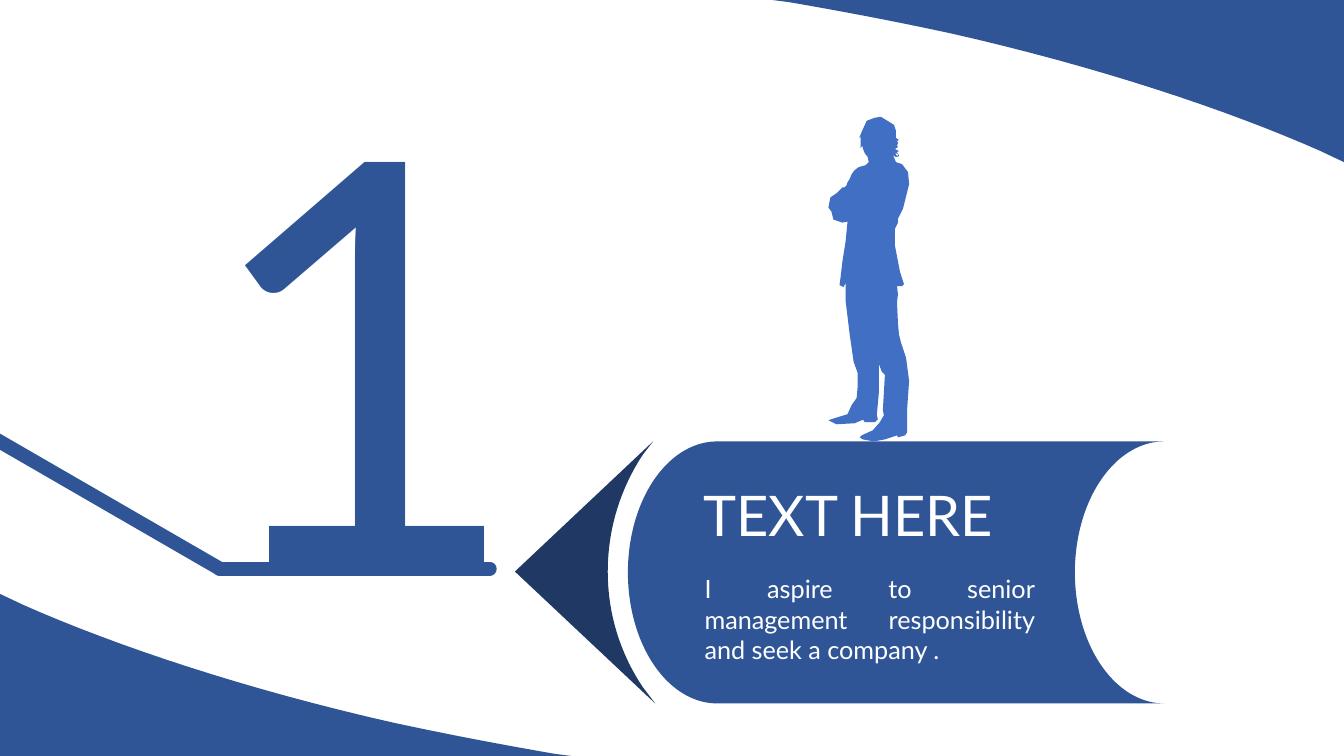
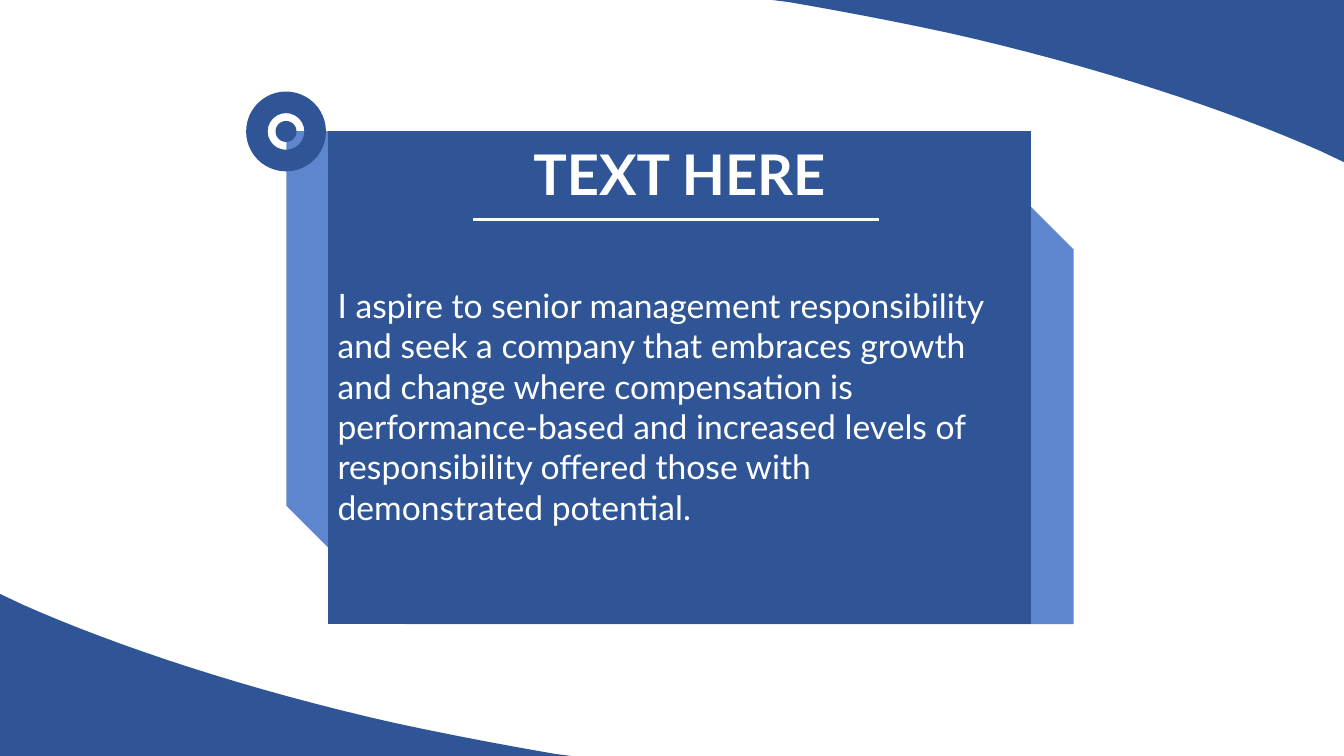
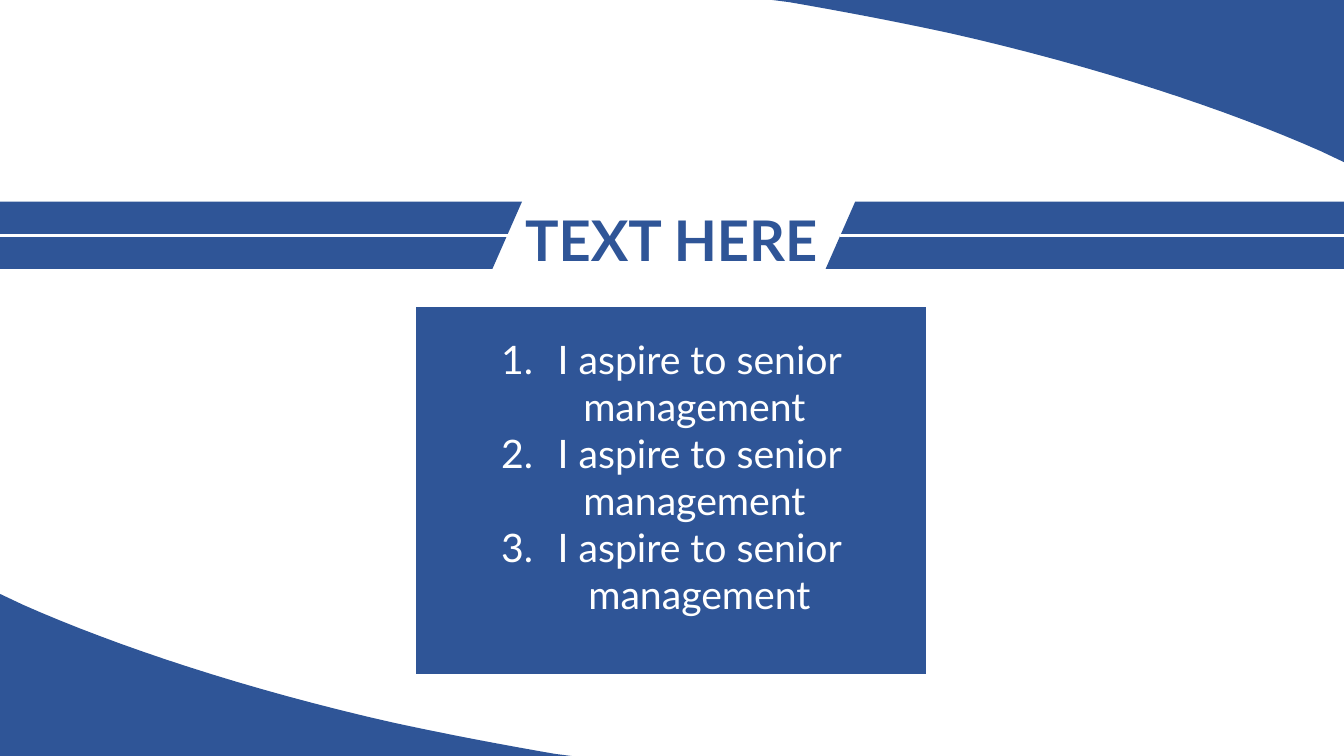
"""Build three blue slides on a grid of 32 columns and 18 rows."""
from lxml.etree import SubElement
from pptx import Presentation
from pptx.dml.color import RGBColor
from pptx.enum.shapes import MSO_CONNECTOR, MSO_SHAPE
from pptx.enum.text import MSO_ANCHOR, PP_ALIGN
from pptx.oxml.ns import qn
from pptx.util import Inches, Pt

BLUE = RGBColor(0x2F, 0x55, 0x97)
NAVY = RGBColor(0x20, 0x38, 0x64)
SKY = RGBColor(0x5E, 0x86, 0xCE)
FIGURE_BLUE = RGBColor(0x40, 0x6F, 0xC4)
WHITE = RGBColor(0xFF, 0xFF, 0xFF)

COLUMNS, ROWS = 32, 18
CELL = Inches(7.5) / ROWS
FONT = "Lato"
PLAIN_TABLE = "{2D5ABB26-0587-4C30-8999-92F81FD0307C}"
TITLE = {"size": Pt(40), "bold": True}

FIGURE_UNITS = 322
FIGURE = [
    (66, 8), (53, 0), (47, 1), (39, 4), (34, 15), (32, 20), (31, 21), (33, 20),
    (33, 30), (32, 31), (35, 29), (35, 31), (37, 36), (40, 40), (41, 45), (38, 48),
    (31, 50), (27, 53), (24, 57), (22, 62), (20, 65), (19, 68), (17, 70), (15, 70),
    (12, 73), (9, 76), (3, 80), (1, 90), (4, 94), (6, 102), (15, 105), (20, 104),
    (18, 124), (15, 143), (13, 160), (12, 167), (16, 169), (18, 165), (18, 182),
    (22, 215), (26, 243), (30, 254), (30, 268), (29, 279), (24, 286), (20, 295),
    (7, 299), (1, 301), (9, 305), (27, 304), (34, 301), (36, 301), (37, 303),
    (47, 303), (50, 300), (49, 296), (51, 274), (51, 245), (54, 253), (57, 256),
    (56, 274), (55, 291), (56, 296), (52, 303), (45, 311), (34, 316), (32, 318),
    (35, 320), (46, 322), (57, 320), (69, 316), (70, 318), (77, 316), (79, 313),
    (79, 291), (81, 262), (78, 239), (73, 224), (71, 216), (70, 205), (69, 184),
    (70, 176), (69, 168), (74, 168), (76, 166), (72, 154), (67, 128), (67, 111),
    (70, 105), (70, 101), (75, 91), (81, 67), (80, 55), (74, 47), (68, 45),
    (65, 38), (68, 40), (71, 39), (71, 37), (69, 39), (67, 36), (70, 37), (69, 35),
    (71, 34), (67, 32), (70, 30), (69, 29), (70, 26), (69, 24), (71, 23), (68, 21),
    (68, 14),
]


def curve(*controls, steps=16):
    """Return points along a cubic curve."""
    points = []
    for step in range(steps + 1):
        t = step / steps
        weights = ((1 - t) ** 3, 3 * t * (1 - t) ** 2, 3 * t * t * (1 - t), t ** 3)
        points.append(tuple(sum(w * c[axis] for w, c in zip(weights, controls))
                            for axis in (0, 1)))
    return points


SWOOSH = [
    (0, 14.14),
    *curve((0.55, 14.4), (2.76, 15.38), (5.88, 16.42), (9.38, 17.21)),
    *curve((9.38, 17.21), (10.73, 17.5), (12, 17.74), (13.22, 17.95)),
    (13.61, 18), (0, 18),
]
FISH_TAIL = [
    (15.55, 10.51),
    *curve((15.31, 10.82), (14.78, 11.62), (14.47, 12.58), (14.47, 13.61)),
    *curve((14.47, 13.61), (14.47, 14.64), (14.78, 15.58), (15.31, 16.37)),
    (15.6, 16.75), (12.26, 13.61),
]


def cells(*lengths):
    """Turn grid cells into slide lengths."""
    return [round(length * CELL) for length in lengths]


class Painter:
    """Hold the style and the current slide."""

    def __init__(self):
        """Open an empty deck."""
        self.deck = Presentation()
        self.deck.slide_width, self.deck.slide_height = cells(COLUMNS, ROWS)
        self.page = None

    def new_page(self):
        """Start a slide with its two corner swooshes."""
        self.page = self.deck.slides.add_slide(self.deck.slide_layouts[6])
        self.outline(SWOOSH, BLUE)
        self.outline([(COLUMNS - x, ROWS - y) for x, y in SWOOSH], BLUE)

    def paint(self, shape, colour):
        """Give a shape a flat fill."""
        shape.shadow.inherit = False
        shape.fill.solid()
        shape.fill.fore_color.rgb = colour
        shape.line.fill.background()

    def outline(self, points, colour, left=0, top=0, scale=1):
        """Draw a closed outline."""
        placed = [cells(left + x * scale, top + y * scale) for x, y in points]
        builder = self.page.shapes.build_freeform(*placed[0])
        builder.add_line_segments(placed[1:], close=True)
        self.paint(builder.convert_to_shape(), colour)

    def shape(self, kind, place, colour, adjustments=()):
        """Draw a preset shape."""
        shape = self.page.shapes.add_shape(kind, *cells(*place))
        for index, value in enumerate(adjustments):
            shape.adjustments[index] = value
        self.paint(shape, colour)

    def line(self, ends, colour, width, cap="flat"):
        """Draw a straight line."""
        line = self.page.shapes.add_connector(MSO_CONNECTOR.STRAIGHT, *cells(*ends))
        line.line.color.rgb = colour
        line.line.width = Pt(width)
        line.line._get_or_add_ln().set("cap", cap)
        SubElement(line._element.spPr, qn("a:effectLst"))

    def set_text(self, frame, texts, colour, style, align=PP_ALIGN.LEFT, numbered=False):
        """Fill a text frame with paragraphs."""
        for index, text in enumerate(texts):
            para = frame.add_paragraph() if index else frame.paragraphs[0]
            para.alignment = align
            if numbered:
                properties = para._p.get_or_add_pPr()
                properties.set("marL", str(Inches(0.56)))
                properties.set("indent", str(-Inches(0.56)))
                SubElement(properties, qn("a:buFont"), typeface="+mj-lt")
                SubElement(properties, qn("a:buAutoNum"), type="arabicPeriod")
            span = para.add_run()
            span.text = text
            for name, value in {"name": FONT, **style}.items():
                setattr(span.font, name, value)
            span.font.color.rgb = colour

    def text(self, place, text, colour, size, align=PP_ALIGN.LEFT):
        """Add a text box."""
        box = self.page.shapes.add_textbox(*cells(*place))
        box.text_frame.word_wrap = True
        self.set_text(box.text_frame, [text], colour, {"size": Pt(size)}, align)

    def table(self, place, heights):
        """Add a plain table of one column and return its cells."""
        table = self.page.shapes.add_table(len(heights), 1, *cells(*place)).table
        table._tbl.tblPr.find(qn("a:tableStyleId")).text = PLAIN_TABLE
        table.first_row = table.horz_banding = False
        for row, height in zip(table.rows, cells(*heights)):
            row.height = height
        return list(table.iter_cells())

    def cell(self, cell, texts, colour, style, fill=None, anchor=MSO_ANCHOR.MIDDLE,
             bottom=0.05, **layout):
        """Fill a table cell."""
        cell.vertical_anchor = anchor
        cell.margin_bottom = Inches(bottom)
        if fill is None:
            cell.fill.background()
        else:
            cell.fill.solid()
            cell.fill.fore_color.rgb = fill
        self.set_text(cell.text_frame, texts, colour, style, **layout)


def number_page(painter):
    """Draw the big number, the fish and the standing figure."""
    painter.new_page()
    for start in ((-0.17, 10.42), (11.66, 13.54)):
        painter.line((*start, 5.23, 13.54), BLUE, 10, "rnd")
    painter.text((4.51, 0, 9.05, 16.39), "1", BLUE, 400)
    painter.outline(FISH_TAIL, NAVY)
    painter.shape(MSO_SHAPE.FLOWCHART_STORED_DATA, (14.95, 10.51, 12.77, 6.24), BLUE)
    painter.text((15.53, 11.33, 9.34, 1.7), "TEXT HERE", WHITE, 40, PP_ALIGN.CENTER)
    painter.text((16.54, 13.54, 8.33, 2.74),
                 "I aspire to senior management responsibility and seek a company .",
                 WHITE, 18, PP_ALIGN.JUSTIFY)
    painter.outline(FIGURE, FIGURE_BLUE, 19.7, 2.78, 7.73 / FIGURE_UNITS)


def panel_page(painter):
    """Draw the pinned panel."""
    painter.new_page()
    painter.shape(MSO_SHAPE.SNIP_2_DIAG_RECTANGLE, (6.82, 3.12, 18.74, 11.74), SKY,
                  (0, 0.24))
    title, body = painter.table((7.8, 3.12, 16.75, 11.74), (2.04, 9.7))
    painter.cell(title, ["TEXT HERE"], WHITE, TITLE, BLUE, align=PP_ALIGN.CENTER)
    painter.cell(body, [
        "I aspire to senior management responsibility and seek a company that "
        "embraces growth and change where compensation is performance-based and "
        "increased levels of responsibility offered those with demonstrated "
        "potential."], WHITE, {"size": Pt(24), "bold": False}, BLUE, bottom=0.33)
    painter.shape(MSO_SHAPE.DONUT, (5.86, 2.18, 1.9, 1.9), BLUE, (0.27,))
    painter.line((11.26, 5.23, 20.93, 5.23), WHITE, 2)
    painter.shape(MSO_SHAPE.OVAL, (6.56, 2.88, 0.5, 0.5), BLUE)


def list_page(painter):
    """Draw the split band and the numbered list."""
    painter.new_page()
    for band_left, line_left, line_right in ((-0.91, 0, 12.46), (19.66, 19.99, COLUMNS)):
        painter.shape(MSO_SHAPE.PARALLELOGRAM, (band_left, 4.8, 13.34, 1.6), BLUE,
                      (0.44,))
        painter.line((line_left, 5.6, line_right, 5.6), WHITE, 2)
    title, body = painter.table((9.91, 4.8, 12.14, 11.26), (2.52, 8.74))
    painter.cell(title, ["TEXT HERE"], BLUE, TITLE, anchor=MSO_ANCHOR.TOP,
                 align=PP_ALIGN.CENTER)
    item = "I aspire to senior management"
    painter.cell(body, [item + " ", item + " ", item], WHITE,
                 {"size": Pt(28), "bold": False}, BLUE, bottom=0.33,
                 align=PP_ALIGN.CENTER, numbered=True)


def main():
    """Build and save the deck."""
    painter = Painter()
    for build in (number_page, panel_page, list_page):
        build(painter)
    painter.deck.save("out.pptx")


if __name__ == "__main__":
    main()
